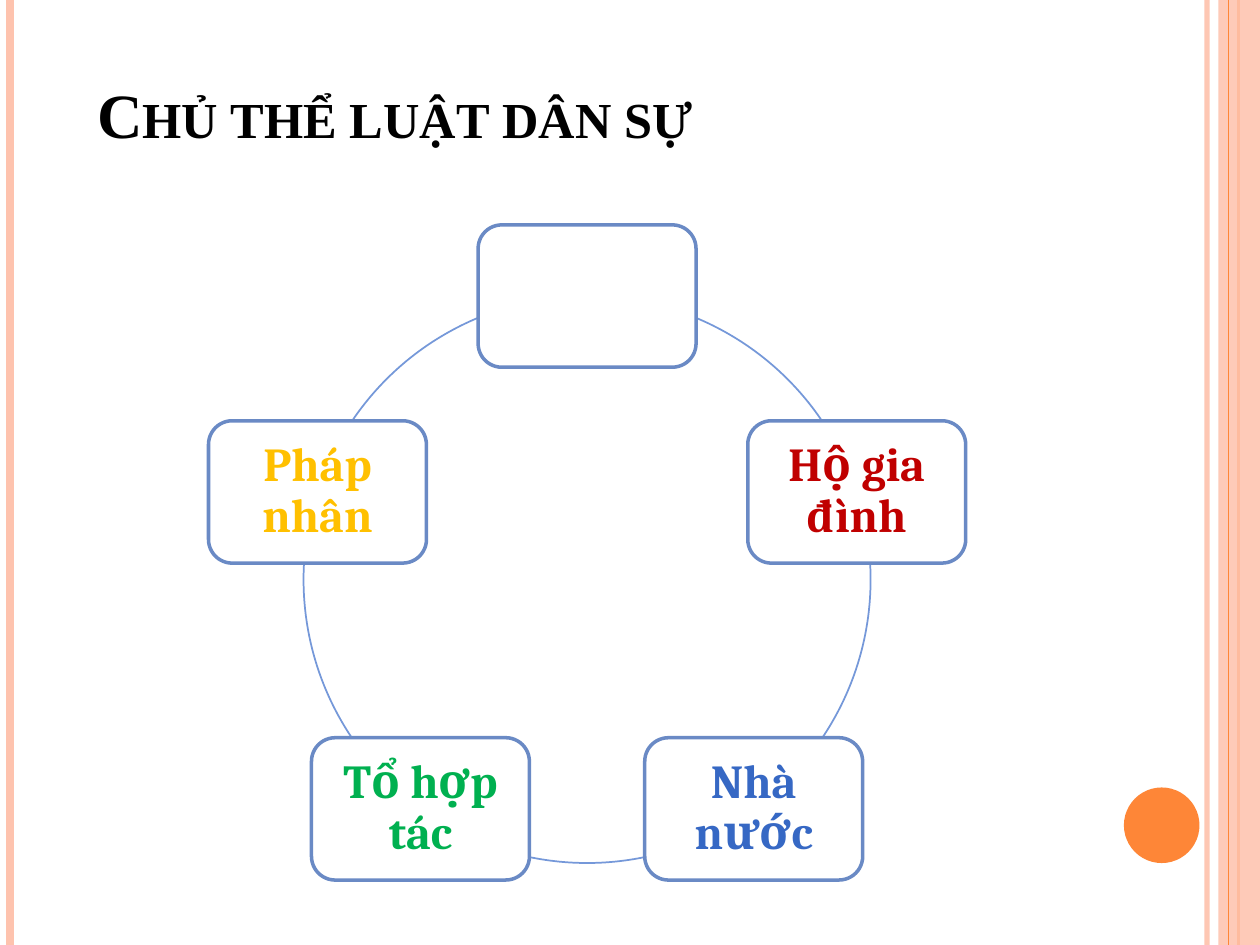
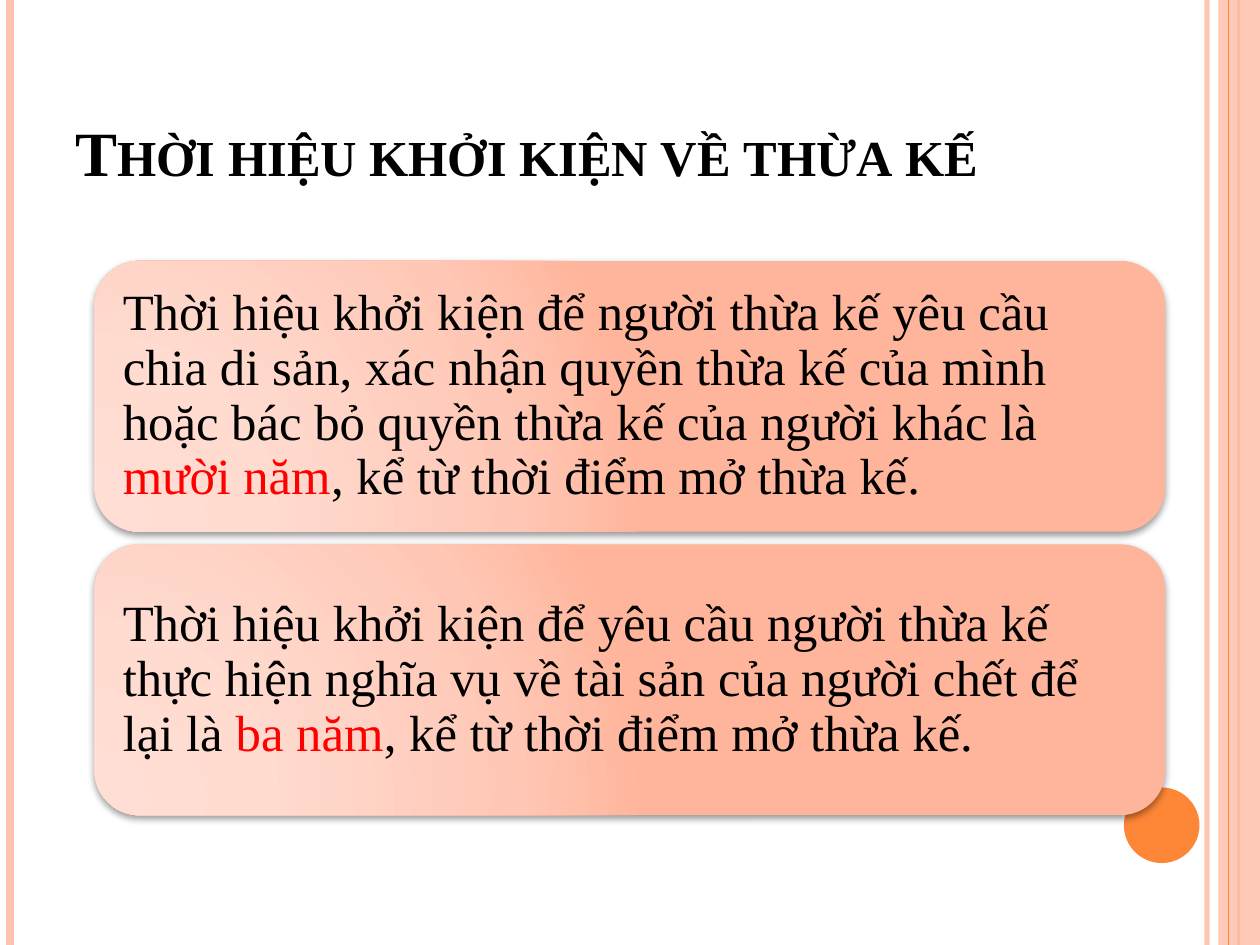
from math import cos, radians, sin

from lxml.etree import SubElement
from pptx import Presentation
from pptx.dml.color import RGBColor
from pptx.enum.shapes import MSO_CONNECTOR, MSO_SHAPE
from pptx.enum.text import MSO_ANCHOR, MSO_AUTO_SIZE, PP_ALIGN
from pptx.oxml import parse_xml
from pptx.oxml.ns import nsdecls, qn
from pptx.util import Pt

EMU_PER_PX = 9144  # 100 px to the inch
WIDTH, HEIGHT = 1000, 750
TITLE_ONLY = 5

COLORS = {
    "black": "000000", "white": "FFFFFF", "peach": "FEC3AE", "orange": "FE8637",
    "box line": "6A8AC5", "ring": "7598D9", "dark red": "C00000", "blue": "3668C4",
    "green": "00B050", "gold": "FFC000", "red": "FF0000",
}
CARD_STOPS = [(0, "FFDED5"), (30, "FFDBD0"), (75, "FFC8B6"), (100, "FFB59B")]
SERIF, LABEL_FONT = "Times New Roman", "Cambria"


def px(length):
    return round(length * EMU_PER_PX)


class SlideBuilder:
    """Holds the style and the slide being filled."""

    def __init__(self):
        self.deck = Presentation()
        self.deck.slide_width, self.deck.slide_height = px(WIDTH), px(HEIGHT)
        self.page = None

    def color(self, name):
        return RGBColor.from_string(COLORS[name])

    def new_page(self, title, left, top, width, height):
        layout = self.deck.slide_layouts[TITLE_ONLY]
        self.page = self.deck.slides.add_slide(layout)
        self.frame()
        self.title(title, left, top, width, height)

    def frame(self):
        """Side bands and the round marker that every slide carries."""
        self.rule(958, "peach", 3, alpha=93)
        self.rule(8, "peach", 4.5)
        self.rule(983, "orange", 1.5)
        band = self.shape(MSO_SHAPE.RECTANGLE, 967, 0, 33, HEIGHT, fill="peach")
        self.fade(band, 87)
        self.rule(975, "orange", 0.75)
        self.shape(MSO_SHAPE.OVAL, 892, 625, 60, 60, fill="orange")

    def fade(self, item, percent):
        color = next(item._element.spPr.iter(qn("a:srgbClr")))
        SubElement(color, qn("a:alpha"), val=str(percent * 1000))

    def rule(self, x, color, weight, alpha=None):
        line = self.page.shapes.add_connector(
            MSO_CONNECTOR.STRAIGHT, px(x), 0, px(x), px(HEIGHT))
        line.line.color.rgb = self.color(color)
        line.line.width = Pt(weight)
        SubElement(line._element.spPr, qn("a:effectLst"))
        if alpha:
            self.fade(line, alpha)

    def shape(self, kind, left, top, width, height, fill=None, line=None, weight=1):
        item = self.page.shapes.add_shape(kind, px(left), px(top), px(width), px(height))
        item.shadow.inherit = False
        if fill:
            item.fill.solid()
            item.fill.fore_color.rgb = self.color(fill)
        else:
            item.fill.background()
        if line:
            item.line.color.rgb = self.color(line)
            item.line.width = Pt(weight)
        else:
            item.line.fill.background()
        return item

    def span(self, para, text, font, size, color, bold=False):
        span = para.add_run()
        span.text = text
        span.font.name, span.font.size, span.font.bold = font, Pt(size), bold
        span.font.color.rgb = self.color(color)
        return span

    def title(self, text, left, top, width, height):
        box = self.page.shapes.title
        box.left, box.top, box.width, box.height = map(px, (left, top, width, height))
        frame = box.text_frame
        frame.auto_size = MSO_AUTO_SIZE.NONE
        frame.vertical_anchor = MSO_ANCHOR.BOTTOM
        para = frame.paragraphs[0]
        para.alignment = PP_ALIGN.LEFT
        span = self.span(para, text, SERIF, 36, "black", bold=True)
        span.font._element.set("cap", "small")

    def paragraph(self, item, inset, align):
        frame = item.text_frame
        frame.word_wrap = True
        frame.vertical_anchor = MSO_ANCHOR.MIDDLE
        frame.margin_left = frame.margin_right = px(inset)
        frame.margin_top = frame.margin_bottom = px(inset)
        para = frame.paragraphs[0]
        para.alignment, para.line_spacing = align, 0.9
        return para

    def arc(self, left, top, size, start, end):
        arc = self.shape(MSO_SHAPE.ARC, left, top, size, size, line="ring", weight=1)
        # One adjustment unit is 100000, one degree is 60000
        arc.adjustments[0] = start % 360 * 0.6
        arc.adjustments[1] = end % 360 * 0.6

    def node(self, center_x, center_y, text, color):
        width, height = 173, 113
        box = self.shape(MSO_SHAPE.ROUNDED_RECTANGLE, center_x - width / 2,
                         center_y - height / 2, width, height, "white", "box line", 2)
        if text:
            para = self.paragraph(box, 11, PP_ALIGN.CENTER)
            self.span(para, text, LABEL_FONT, 27, color, bold=True)

    def card(self, left, top, width, height, spans):
        card = self.shape(MSO_SHAPE.ROUNDED_RECTANGLE, left, top, width, height, "peach")
        properties = card._element.spPr
        stops = "".join(
            f'<a:gs pos="{place * 1000}"><a:srgbClr val="{value}"/></a:gs>'
            for place, value in CARD_STOPS)
        gradient = parse_xml(
            f'<a:gradFill {nsdecls("a")} rotWithShape="1"><a:gsLst>{stops}</a:gsLst>'
            '<a:path path="circle"><a:fillToRect l="5000" t="100000" r="120000" b="10000"/>'
            '</a:path></a:gradFill>')
        properties.replace(properties.find(qn("a:solidFill")), gradient)
        properties.find(qn("a:effectLst")).append(parse_xml(
            f'<a:outerShdw {nsdecls("a")} blurRad="{Pt(4)}" dist="{Pt(2)}" dir="5400000"'
            ' rotWithShape="0"><a:srgbClr val="000000"><a:alpha val="40000"/></a:srgbClr>'
            '</a:outerShdw>'))
        para = self.paragraph(card, 12, PP_ALIGN.LEFT)
        for text, color in spans:
            self.span(para, text, SERIF, 29, color)


def subjects_slide(builder):
    builder.new_page("Chủ thể luật dân sự", 67, 46, 817, 79)
    subjects = [("", "black"), ("Hộ gia đình", "dark red"), ("Nhà nước", "blue"),
                ("Tổ hợp tác", "green"), ("Pháp nhân", "gold")]
    center_x, center_y, radius = 466, 460, 225
    step = 360 / len(subjects)
    angles = [step * index - 90 for index in range(len(subjects))]

    # Ring behind the boxes
    for angle in angles:
        builder.arc(center_x - radius, center_y - radius, 2 * radius, angle, angle + step)

    # Boxes spaced evenly round the ring
    for angle, (text, color) in zip(angles, subjects):
        builder.node(center_x + radius * cos(radians(angle)),
                     center_y + radius * sin(radians(angle)), text, color)


def time_limits_slide(builder):
    builder.new_page("Thời hiệu khởi kiện về thừa kế", 50, 30, 817, 125)
    limits = [
        ("Thời hiệu khởi kiện để người thừa kế yêu cầu chia di sản, xác nhận quyền "
         "thừa kế của mình hoặc bác bỏ quyền thừa kế của người khác là ", "mười năm"),
        ("Thời hiệu khởi kiện để yêu cầu người thừa kế thực hiện nghĩa vụ về tài sản "
         "của người chết để lại là ", "ba năm"),
    ]
    # Stacked cards
    height, gap = 215, 10
    for index, (rule, period) in enumerate(limits):
        builder.card(75, 207 + index * (height + gap), 850, height, [
            (rule, "black"), (period, "red"), (", kể từ thời điểm mở thừa kế.", "black")])


def main():
    builder = SlideBuilder()
    subjects_slide(builder)
    time_limits_slide(builder)
    builder.deck.save("out.pptx")


if __name__ == "__main__":
    main()
